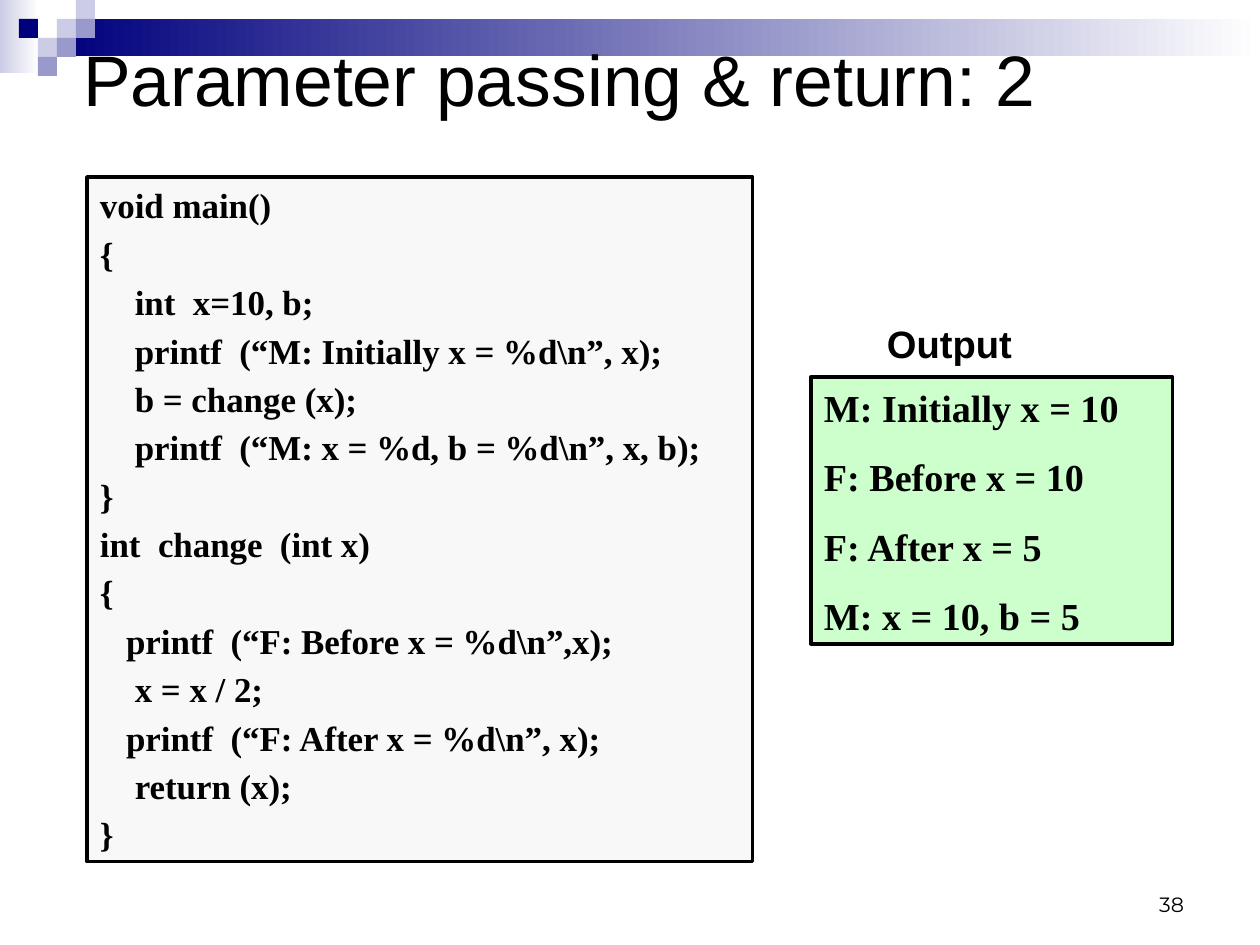
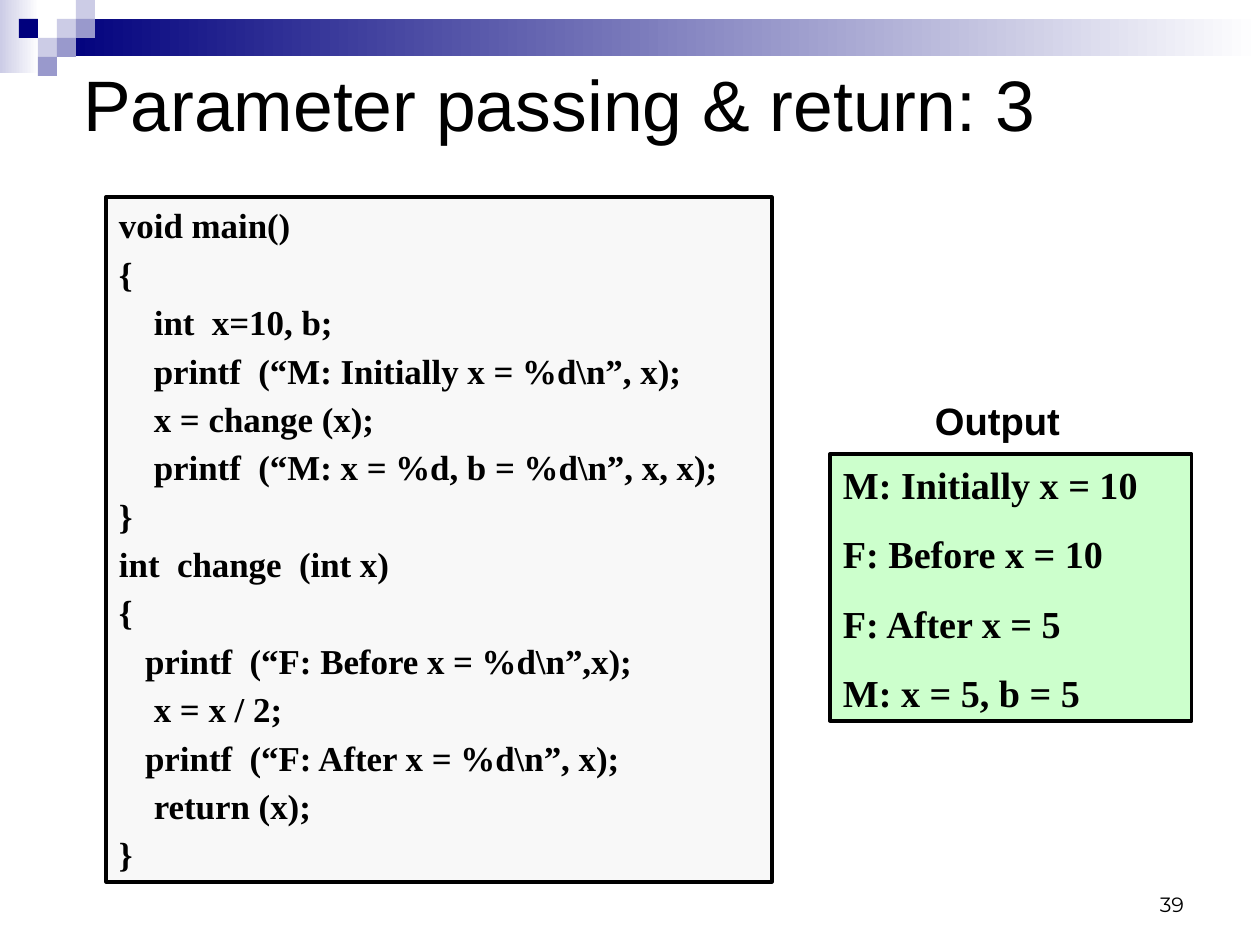
from dataclasses import dataclass

from pptx import Presentation
from pptx.dml.color import RGBColor
from pptx.enum.shapes import MSO_SHAPE
from pptx.enum.text import MSO_ANCHOR, MSO_AUTO_SIZE, PP_ALIGN
from pptx.util import Emu, Pt

PX = 8000  # EMU in one px
SLIDE_W, SLIDE_H = 1260, 945
FIRST_NUMBER = 38


@dataclass(frozen=True)
class Theme:
    black: str = "000000"
    white: str = "FFFFFF"
    navy: str = "00007D"
    lilac: str = "CCCCE6"
    violet: str = "9999CC"
    code_fill: str = "F8F8F8"
    output_fill: str = "CCFFCC"
    sans: str = "Arial"
    serif: str = "Times New Roman"
    number_font: str = "Montserrat"
    title_size: int = 45
    code_size: int = 22
    output_size: int = 24
    number_size: int = 13
    leading: float = 1.2  # line pitch in type sizes
    code_gap: float = 4.1
    output_gap: float = 15
    border: int = 2
    inset: tuple = (13, 7)


T = Theme()


def px(*lengths):
    return [Emu(n * PX) for n in lengths]


def rgb(name):
    return RGBColor.from_string(name)


def apply(target, **values):
    for name, value in values.items():
        setattr(target, name, value)


# Text
def set_frame(tf, anchor=MSO_ANCHOR.TOP, wrap=True, inset=T.inset):
    x, y = px(*inset)
    apply(tf, word_wrap=wrap, auto_size=MSO_AUTO_SIZE.NONE, vertical_anchor=anchor,
          margin_left=x, margin_right=x, margin_top=y, margin_bottom=y)


def write_lines(tf, lines, font, size, bold=False, gap=0, align=PP_ALIGN.LEFT):
    for i, line in enumerate(lines):
        p = tf.add_paragraph() if i else tf.paragraphs[0]
        apply(p, alignment=align, line_spacing=Pt(size * T.leading))
        if i:
            p.space_before = Pt(gap)
        r = p.add_run()
        r.text = line
        apply(r.font, name=font, size=Pt(size), bold=bold)
        r.font.color.rgb = rgb(T.black)


# Shapes
def add_rect(s, box, *colours):
    """One colour gives a solid fill, two give a left-to-right gradient."""
    sp = s.shapes.add_shape(MSO_SHAPE.RECTANGLE, *px(*box))
    sp.shadow.inherit = False
    sp.line.fill.background()
    if len(colours) == 1:
        sp.fill.solid()
        sp.fill.fore_color.rgb = rgb(colours[0])
    else:
        sp.fill.gradient()
        sp.fill.gradient_angle = 0
        for stop, colour in zip(sp.fill.gradient_stops, colours):
            stop.color.rgb = rgb(colour)
    return sp


def add_panel(s, box, fill, lines, size, gap):
    sp = add_rect(s, box, fill)
    sp.line.color.rgb = rgb(T.black)
    sp.line.width = Pt(T.border)
    set_frame(sp.text_frame)
    write_lines(sp.text_frame, lines, T.serif, size, bold=True, gap=gap)


def add_label(s, box, text):
    tf = s.shapes.add_textbox(*px(*box)).text_frame
    set_frame(tf, wrap=False, inset=(0, 0))
    write_lines(tf, [text], T.sans, T.output_size, bold=True)


def add_number(s, number):
    tf = s.shapes.add_textbox(*px(903, 861, 294, 63)).text_frame
    set_frame(tf, MSO_ANCHOR.BOTTOM)
    write_lines(tf, [str(number)], T.number_font, T.number_size, align=PP_ALIGN.RIGHT)


def set_title(s, text, top):
    title = s.shapes.title
    left, top, width, height = px(70, top, 1190, 98)
    apply(title, left=left, top=top, width=width, height=height)
    set_frame(title.text_frame, MSO_ANCHOR.MIDDLE)
    write_lines(title.text_frame, [text], T.sans, T.title_size)


# Shared band and squares, kept on the layout
def decorate_layout(layout, s):
    cell = 19
    squares = [(3, 1, T.lilac), (4, 0, T.lilac), (4, 1, T.violet), (2, 2, T.lilac),
               (1, 1, T.navy), (3, 2, T.violet), (2, 3, T.violet)]
    parts = [add_rect(s, (0, 0, 39, 73), T.lilac, T.white),
             add_rect(s, (57, cell, SLIDE_W - 57, 37), T.navy, T.white)]
    parts += [add_rect(s, (col * cell, row * cell, cell, cell), colour)
              for col, row, colour in squares]
    tree = layout.element.cSld.spTree
    for shape_id, sp in enumerate(parts, start=100):
        sp.element.nvSpPr.cNvPr.set("id", str(shape_id))
        tree.append(sp.element)


# Content
def code_lines(target, printed):
    return ["void main()",
            "{",
            "    int  x=10, b;",
            r"    printf  (“M: Initially x = %d\n”, x);",
            f"    {target} = change (x);",
            rf"    printf  (“M: x = %d, b = %d\n”, x, {printed});",
            "}",
            "int  change  (int x)",
            "{",
            r"   printf  (“F: Before x = %d\n”,x);",
            "    x = x / 2;",
            r"   printf  (“F: After x = %d\n”, x);",
            "    return (x);",
            "}"]


def output_lines(final_x):
    return ["M: Initially x = 10", "F: Before x = 10", "F: After x = 5",
            f"M: x = {final_x}, b = 5"]


EXAMPLES = [
    dict(part=2, title_top=29, code_at=(87, 177), output_at=(811, 377),
         label_left=887, variable="b", final_x=10),
    dict(part=3, title_top=54, code_at=(106, 197), output_at=(830, 454),
         label_left=935, variable="x", final_x=5),
]


def fill_slide(s, number, ex):
    add_number(s, number)
    set_title(s, f"Parameter passing & return: {ex['part']}", ex["title_top"])
    add_panel(s, (*ex["code_at"], 666, 685), T.code_fill,
              code_lines(ex["variable"], ex["variable"]), T.code_size, T.code_gap)
    add_panel(s, (*ex["output_at"], 362, 267), T.output_fill,
              output_lines(ex["final_x"]), T.output_size, T.output_gap)
    add_label(s, (ex["label_left"], ex["output_at"][1] - 57, 125, 46), "Output")


def main():
    prs = Presentation()
    prs.slide_width, prs.slide_height = px(SLIDE_W, SLIDE_H)
    layout = prs.slide_layouts.get_by_name("Title Only")
    slides = [prs.slides.add_slide(layout) for _ in EXAMPLES]
    decorate_layout(layout, slides[0])
    for number, (s, ex) in enumerate(zip(slides, EXAMPLES), start=FIRST_NUMBER):
        fill_slide(s, number, ex)
    prs.save("out.pptx")


if __name__ == "__main__":
    main()
